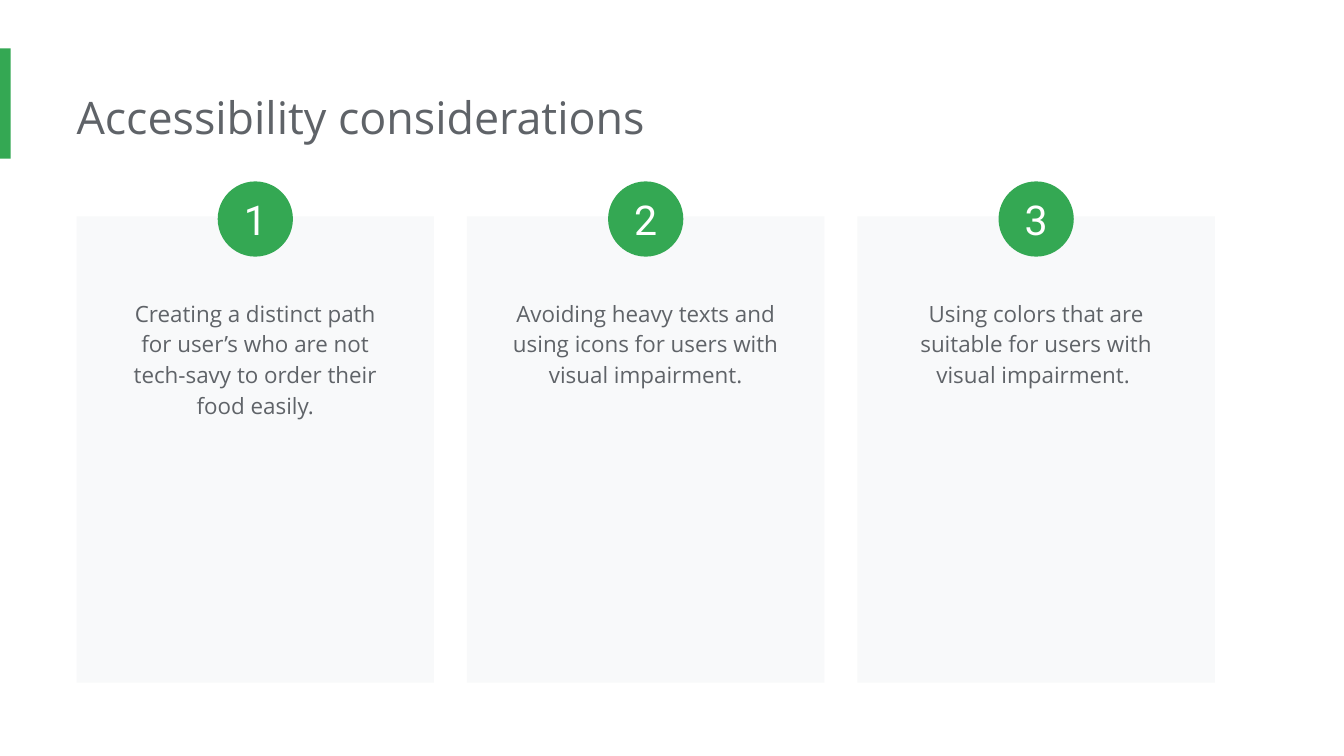
from pptx import Presentation
from pptx.dml.color import RGBColor
from pptx.enum.shapes import MSO_SHAPE as SHAPE
from pptx.enum.text import MSO_ANCHOR as ANCHOR, MSO_AUTO_SIZE as AUTO, PP_ALIGN as ALIGN
from pptx.util import Inches, Pt

TITLE = "Accessibility considerations"
CONSIDERATIONS = [
    "Creating a distinct path for user’s who are not tech-savy to order their food easily.",
    "Avoiding heavy texts and using icons for users with visual impairment.",
    "Using colors that are suitable for users with visual impairment. ",
]

THEME = {
    "green": "34A853",
    "card": "F8F9FA",
    "title": {"name": "Open Sans", "size": 24, "color": "5F6368"},
    "body": {"name": "Open Sans", "size": 12, "color": "5F6368"},
    "number": {"name": "Roboto", "size": 22, "color": "FFFFFF"},
}

SLIDE_W = 10
SLIDE_H = SLIDE_W * 9 / 16
MARGIN = 0.57
LAST_LEFT = 6.38
CARD_TOP, CARD_W, CARD_H = 1.61, 2.66, 3.47
BODY_TOP, BODY_W, BODY_H = 2.1, 2.24, 0.9
BADGE_TOP, BADGE = 1.35, 0.56


def add_block(slide, kind, box, fill):
    s = slide.shapes.add_shape(kind, *map(Inches, box))
    s.shadow.inherit = False
    s.fill.solid()
    s.fill.fore_color.rgb = RGBColor.from_string(fill)
    s.line.fill.background()
    return s


def write(s, text, style, insets, paragraph=None, **frame):
    tf = s.text_frame
    sides = ("margin_left", "margin_top", "margin_right", "margin_bottom")
    margins = dict(zip(sides, map(Inches, insets)))
    for name, value in {"word_wrap": True, **margins, **frame}.items():
        setattr(tf, name, value)
    p = tf.paragraphs[0]
    for name, value in (paragraph or {}).items():
        setattr(p, name, value)
    r = p.add_run()
    r.text = text
    r.font.name = style["name"]
    r.font.size = Pt(style["size"])
    r.font.color.rgb = RGBColor.from_string(style["color"])


def add_text(slide, box, *args, **kwargs):
    s = slide.shapes.add_textbox(*map(Inches, box))
    write(s, *args, auto_size=AUTO.SHAPE_TO_FIT_TEXT, **kwargs)


def add_card(slide, left, number, text):
    center = left + CARD_W / 2
    add_block(slide, SHAPE.RECTANGLE, (left, CARD_TOP, CARD_W, CARD_H), THEME["card"])
    add_text(slide, (center - BODY_W / 2, BODY_TOP, BODY_W, BODY_H), text,
             THEME["body"], [0.1] * 4,
             paragraph={"alignment": ALIGN.CENTER, "line_spacing": 1.15})
    badge = add_block(slide, SHAPE.OVAL,
                      (center - BADGE / 2, BADGE_TOP, BADGE, BADGE), THEME["green"])
    write(badge, str(number), THEME["number"], [0] * 4,
          paragraph={"alignment": ALIGN.CENTER}, vertical_anchor=ANCHOR.MIDDLE)


def main():
    prs = Presentation()
    prs.slide_width, prs.slide_height = Inches(SLIDE_W), Inches(SLIDE_H)
    slide = prs.slides.add_slide(prs.slide_layouts[6])
    add_block(slide, SHAPE.RECTANGLE, (0, 0.36, 0.08, 0.82), THEME["green"])
    add_text(slide, (MARGIN, 0.57, 7.66, 0.61), TITLE, THEME["title"], (0, 0.1, 0.1, 0.1))
    pitch = (LAST_LEFT - MARGIN) / (len(CONSIDERATIONS) - 1)
    for i, text in enumerate(CONSIDERATIONS):
        add_card(slide, MARGIN + i * pitch, i + 1, text)
    prs.save("out.pptx")


if __name__ == "__main__":
    main()
